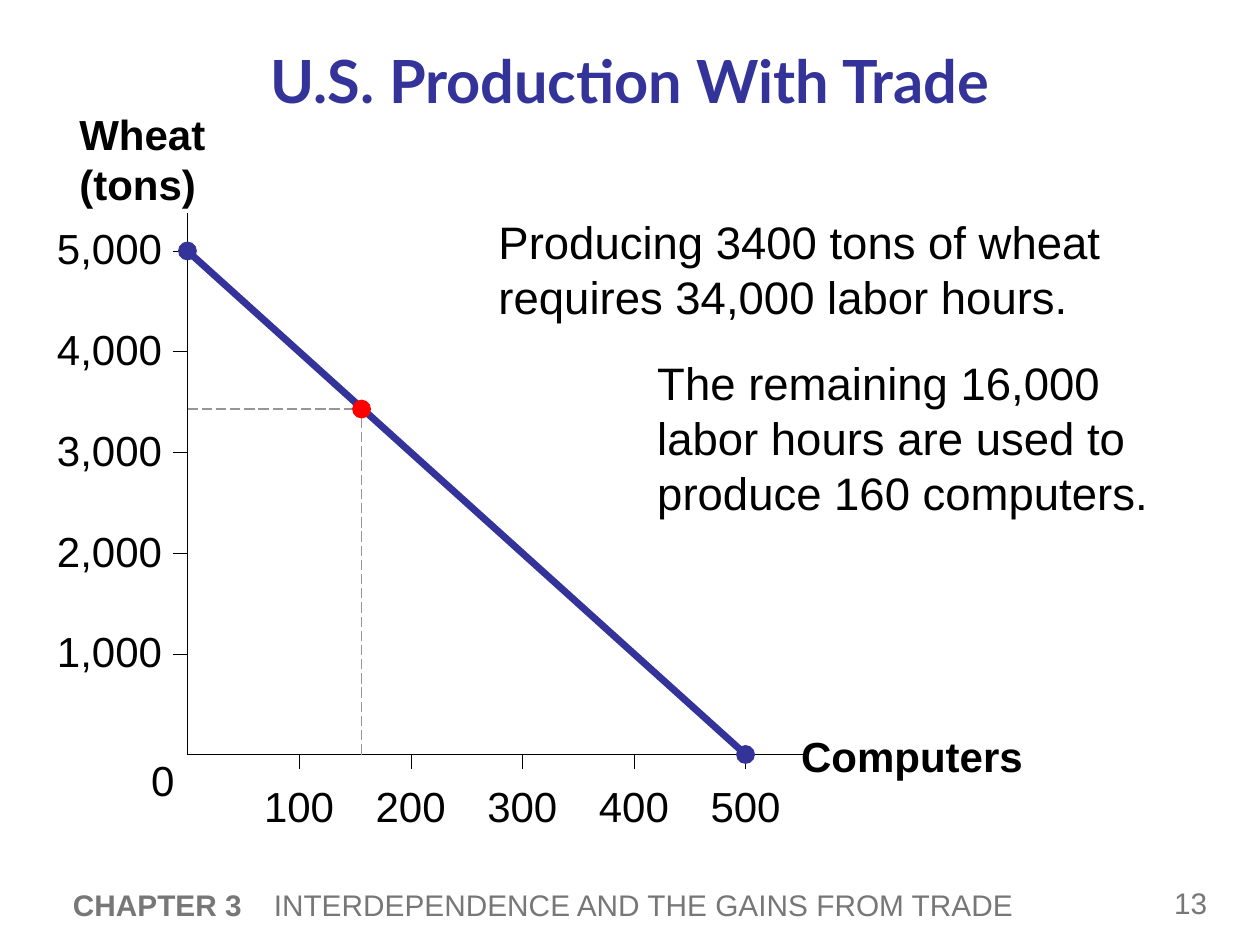
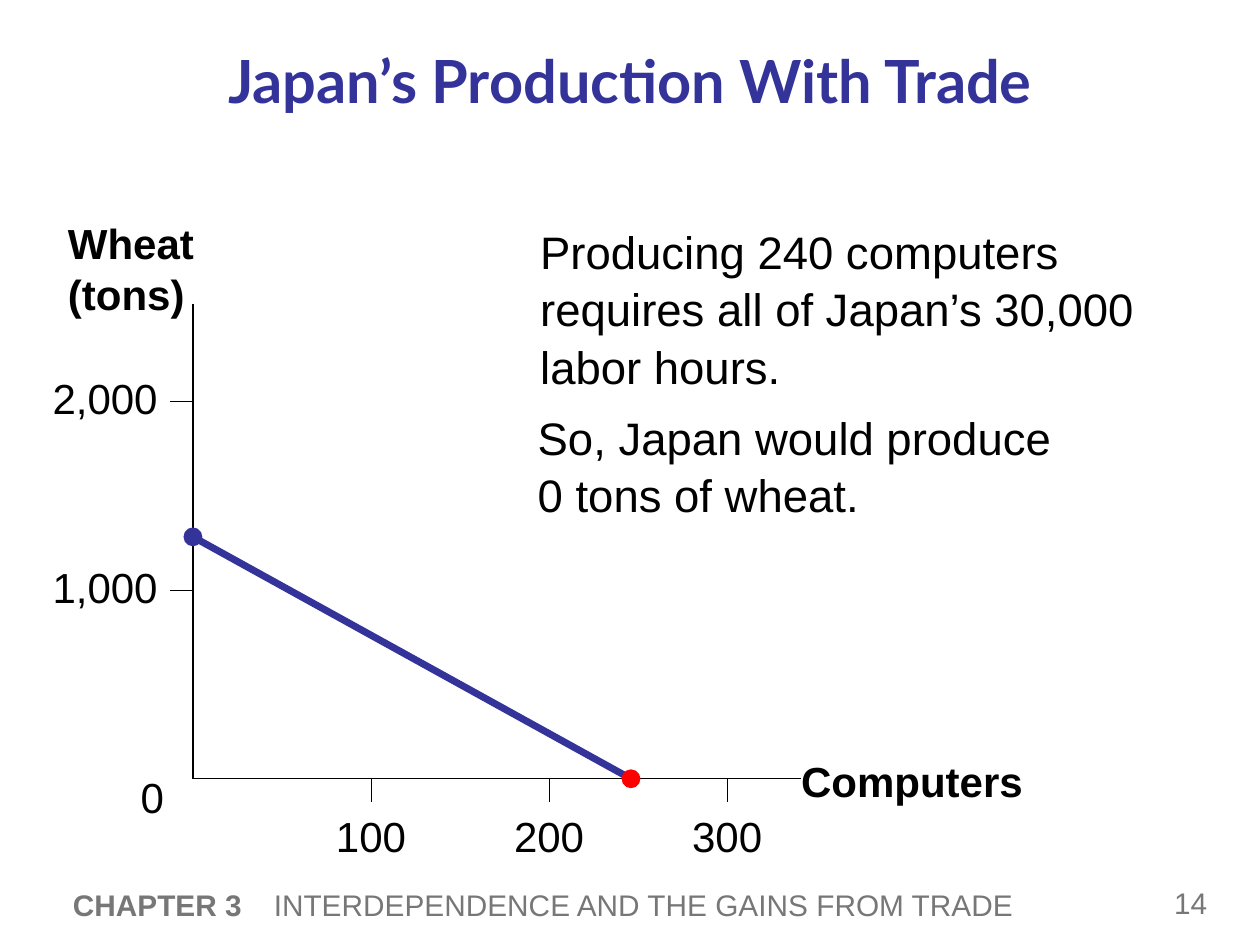
from lxml.etree import SubElement as Sub
from pptx import Presentation
from pptx.dml.color import RGBColor
from pptx.enum.dml import MSO_LINE as Dash
from pptx.enum.shapes import MSO_CONNECTOR as Conn, MSO_SHAPE as Shape
from pptx.enum.text import MSO_ANCHOR as Anchor, PP_ALIGN as Align
from pptx.oxml.ns import qn
from pptx.util import Cm, Pt

BLUE, RED, BLACK, GREY, DASH = "333399", "FF0000", "000000", "777777", "969696"
DOT = 0.38
CHAPTER, TOPIC = "CHAPTER 3", "INTERDEPENDENCE AND THE GAINS FROM TRADE"

PAGES = [
    dict(
        title="U.S. Production With Trade", number=13,
        origin=(3.78, 15.21), top=4.29, right=16.2, tick=0.29,
        wheat=[1000, 2000, 3000, 4000, 5000], pcs=[100, 200, 300, 400, 500],
        scale=(2.25, 2.03), left=0.9, drop=0.39, zero=(-0.5, -0.12),
        names=[("Wheat (tons)", 1.35, 2.06, 3.1), ("Computers", 15.9, 14.6, 5.33)],
        ends=[(0, 5000, BLUE), (500, 0, BLUE)], mark=(156, 3430, RED),
        space=1.0,
        notes=[
            ("Producing 3400 tons of wheat requires 34,000 labor hours.", 9.8, 4.19, 13.28),
            ("The remaining 16,000 labor hours are used to produce 160 computers.",
             13, 7.04, 10.67),
        ],
    ),
    dict(
        title="Japan’s Production With Trade", number=14,
        origin=(3.89, 15.7), top=6.12, right=16.15, tick=0.46,
        wheat=[1000, 2000], pcs=[100, 200, 300],
        scale=(3.59, 3.81), left=0.81, drop=0.51, zero=(-0.82, -0.28),
        names=[("Wheat (tons)", 1.12, 4.27, 3.07), ("Computers", 15.9, 15.11, 5.33)],
        ends=[(0, 1280, BLUE), (246, 0, RED)], mark=None,
        space=1.05,
        notes=[
            ("Producing 240 computers requires all of Japan’s 30,000 labor hours.",
             10.64, 4.34, 12.73),
            ("So, Japan would produce\n0 tons of wheat.", 10.59, 8.08, 12.73),
        ],
    ),
]


def rgb(code):
    return RGBColor.from_string(code)


def style(run, size, color=BLACK, bold=False, face="Arial"):
    font = run.font
    font.size, font.bold, font.name = Pt(size), bold, face
    font.color.rgb = rgb(color)


def write(slide, text, x, y, w, h=1.27, size=24, align=Align.LEFT,
          anchor=Anchor.TOP, space=1.0, **look):
    frame = slide.shapes.add_textbox(Cm(x), Cm(y), Cm(w), Cm(h)).text_frame
    frame.word_wrap, frame.vertical_anchor = True, anchor
    para = frame.paragraphs[0]
    para.text, para.alignment, para.line_spacing = text, align, space
    for run in para.runs:
        style(run, size, **look)
    return para


def rule(slide, start, end, width=0.75, color=BLACK, dash=None):
    ends = [Cm(v) for v in (*start, *end)]
    link = slide.shapes.add_connector(Conn.STRAIGHT, *ends)
    link.line.width, link.line.color.rgb = Pt(width), rgb(color)
    if dash:
        link.line.dash_style = dash
    Sub(link._element.spPr, qn("a:effectLst"))


def dot(slide, spot, color):
    x, y = (Cm(v - DOT / 2) for v in spot)
    ball = slide.shapes.add_shape(Shape.OVAL, x, y, Cm(DOT), Cm(DOT))
    ball.shadow.inherit = False
    ball.fill.solid()
    ball.fill.fore_color.rgb = rgb(color)
    ball.line.fill.background()


def frame_page(slide, page):
    foot = dict(size=17, color=GREY, anchor=Anchor.MIDDLE)
    write(slide, str(page["number"]), 23.42, 17.68, 1.7, 1.04, **foot)
    para = write(slide, CHAPTER, 1.22, 17.68, 21.82, 1.12, bold=True, **foot)
    tabs = Sub(para._p.get_or_add_pPr(), qn("a:tabLst"))
    Sub(tabs, qn("a:tab"), pos=str(Cm(4.05)), algn="l")
    run = para.add_run()
    run.text = "\t" + TOPIC
    style(run, 17, GREY)
    write(slide, page["title"], 1.27, 0.71, 22.86, 1.8, size=34, color=BLUE,
          bold=True, face="Lato", align=Align.CENTER, anchor=Anchor.MIDDLE)


def plot(slide, page):
    left, base = page["origin"]
    tick = page["tick"]

    def spot(pcs, wheat):
        across, up = page["scale"]
        return left + pcs / 100 * across, base - wheat / 1000 * up

    rule(slide, (left, page["top"]), (left, base))
    rule(slide, (left, base), (page["right"], base))
    for value in page["wheat"]:
        x, y = spot(0, value)
        rule(slide, (x, y), (x - tick, y), 0.25)
        write(slide, f"{value:,}", page["left"], y - 0.69, 2.67)
    for value in page["pcs"]:
        x, y = spot(value, 0)
        rule(slide, (x, y + tick), (x, y), 0.25)
        write(slide, str(value), x - 1.2, y + page["drop"], 2.4, align=Align.CENTER)
    dx, dy = page["zero"]
    write(slide, "0", left + dx - 0.6, base + dy, 1.2, align=Align.CENTER)
    for name, x, y, w in page["names"]:
        write(slide, name, x, y, w, bold=True)

    ends = page["ends"]
    rule(slide, *(spot(*end[:2]) for end in ends), 4, BLUE)
    for pcs, wheat, color in ends:
        dot(slide, spot(pcs, wheat), color)
    if page["mark"]:
        pcs, wheat, color = page["mark"]
        mark = spot(pcs, wheat)
        for foot in (spot(0, wheat), spot(pcs, 0)):
            rule(slide, foot, mark, 0.75, DASH, Dash.LONG_DASH)
        dot(slide, mark, color)


def main():
    """Build the two slides on production with trade."""
    deck = Presentation()
    deck.slide_width, deck.slide_height = Cm(25.4), Cm(19.05)
    for page in PAGES:
        slide = deck.slides.add_slide(deck.slide_layouts[6])
        frame_page(slide, page)
        plot(slide, page)
        for text, x, y, w in page["notes"]:
            write(slide, text, x, y, w, 2.5, size=26, space=page["space"])
    deck.save("out.pptx")


if __name__ == "__main__":
    main()
